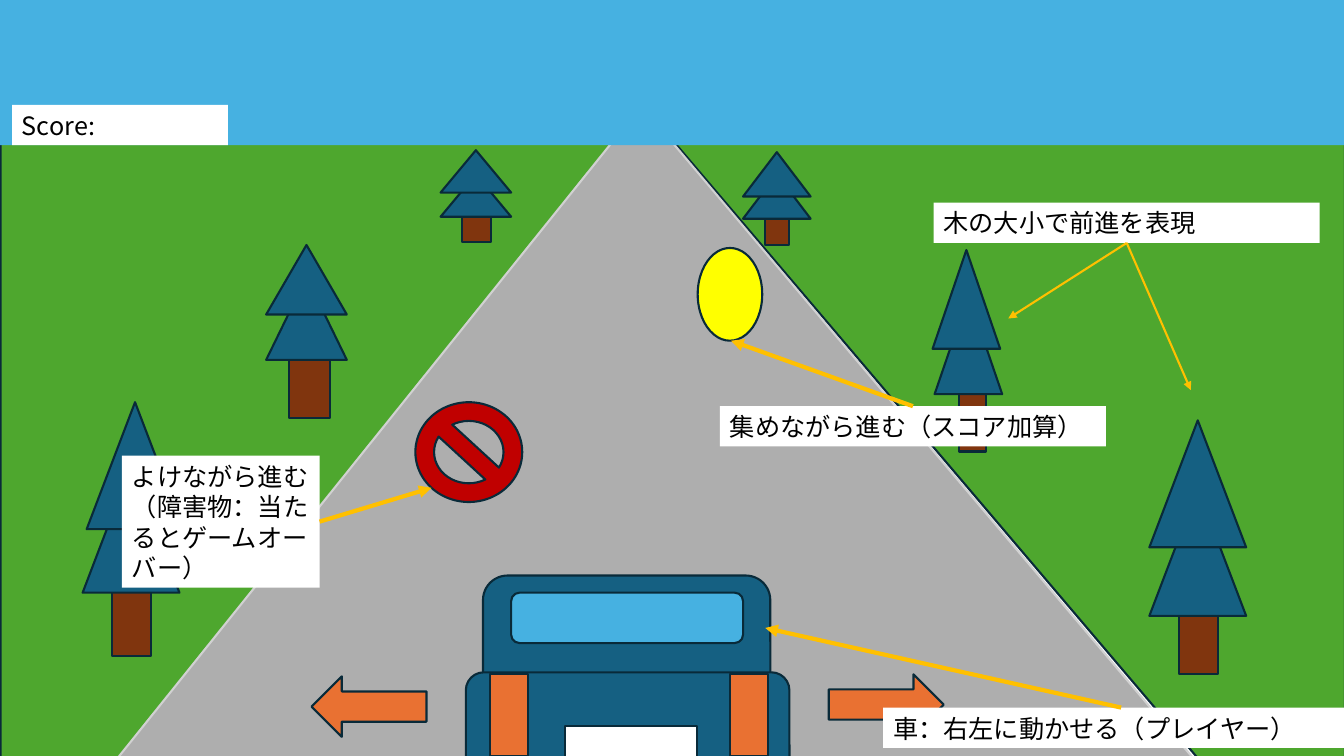
from dataclasses import dataclass
from typing import NamedTuple

from lxml import etree
from pptx import Presentation
from pptx.dml.color import RGBColor
from pptx.enum.shapes import MSO_CONNECTOR, MSO_SHAPE
from pptx.enum.text import MSO_ANCHOR, MSO_AUTO_SIZE, PP_ALIGN
from pptx.oxml.ns import qn
from pptx.util import Inches, Pt

RECT = MSO_SHAPE.RECTANGLE
ROUND = MSO_SHAPE.ROUNDED_RECTANGLE
TRIANGLE = MSO_SHAPE.ISOSCELES_TRIANGLE
OVAL = MSO_SHAPE.OVAL
NO_SYMBOL = MSO_SHAPE.NO_SYMBOL
RIGHT_ARROW = MSO_SHAPE.RIGHT_ARROW
STRAIGHT = MSO_CONNECTOR.STRAIGHT
TOP, RIGHT, BOTTOM = 0, 3, 2


@dataclass(frozen=True)
class Theme:
    font: str = "Noto Sans CJK JP"
    text_size: float = 18
    line_pitch: float = 21.8
    outline_width: float = 1.5
    text: str = "000000"
    outline: str = "092A39"
    grass: str = "4EA72E"
    road: str = "AEAEAE"
    road_edge: str = "D1D1D1"
    sky: str = "46B1E1"
    trunk: str = "80350E"
    blue: str = "156082"
    orange: str = "E97132"
    white: str = "FFFFFF"
    coin: str = "FFFF00"
    danger: str = "C00000"
    pointer: str = "FFC000"


THEME = Theme()


class Box(NamedTuple):
    left: float
    top: float
    width: float
    height: float


@dataclass(frozen=True)
class Part:
    kind: int
    box: Box
    fill: str
    outline: str | None = THEME.outline
    rotation: float = 0
    adjust: float | None = None


@dataclass(frozen=True)
class Tree:
    trunk: Box
    lower: Box
    upper: Box


@dataclass(frozen=True)
class Label:
    text: str
    box: Box


@dataclass(frozen=True)
class Pointer:
    label: str
    side: int
    tip: tuple[float, float]
    width: float


SCENERY = [
    Part(TRIANGLE, Box(0.64, 0.35, 7.85, 9.12), THEME.grass, rotation=90, adjust=0),
    Part(TRIANGLE, Box(6.08, 1.98, 7.85, 6.67), THEME.grass, rotation=270, adjust=1),
    Part(TRIANGLE, Box(0.79, 1.05, 11.44, 6.94), THEME.road, THEME.road_edge, adjust=0.487),
    Part(RECT, Box(0, 0, 13.33, 1.44), THEME.sky, None),
]

TREES = [
    Tree(Box(1.11, 5.25, 0.39, 1.26), Box(0.82, 4.62, 0.96, 1.26), Box(0.86, 3.99, 0.96, 1.26)),
    Tree(Box(11.69, 5.43, 0.39, 1.26), Box(11.4, 4.85, 0.96, 1.26), Box(11.4, 4.17, 0.96, 1.26)),
    Tree(Box(4.58, 1.98, 0.29, 0.42), Box(4.37, 1.73, 0.7, 0.42), Box(4.37, 1.49, 0.7, 0.42)),
    Tree(Box(7.59, 1.95, 0.24, 0.48), Box(7.37, 1.73, 0.67, 0.44), Box(7.37, 1.51, 0.67, 0.44)),
    Tree(Box(2.87, 3.33, 0.4, 0.82), Box(2.64, 2.75, 0.8, 0.82), Box(2.64, 2.43, 0.8, 0.69)),
    Tree(Box(9.51, 3.5, 0.27, 0.98), Box(9.27, 2.93, 0.67, 0.98), Box(9.25, 2.48, 0.67, 0.98)),
]

WHEELS = [Part(RECT, Box(x, 6.96, 0.59, 0.98), THEME.text) for x in (5.08, 6.78)]
LAMPS = [Part(RECT, Box(x, 6.69, 0.38, 0.81), THEME.orange) for x in (4.86, 7.24)]
CAR = [
    *WHEELS,
    Part(ROUND, Box(4.79, 5.71, 2.85, 1.46), THEME.blue),
    Part(ROUND, Box(4.62, 6.67, 3.21, 1.07), THEME.blue),
    Part(ROUND, Box(5.07, 5.88, 2.3, 0.5), THEME.sky),
    *LAMPS,
    Part(RECT, Box(5.6, 7.2, 1.31, 0.5), THEME.white),
]

GAME_ITEMS = [
    Part(RIGHT_ARROW, Box(8.22, 6.69, 1.14, 0.6), THEME.orange),
    Part(RIGHT_ARROW, Box(3.09, 6.71, 1.14, 0.6), THEME.orange, rotation=180),
    Part(OVAL, Box(6.92, 2.46, 0.64, 0.92), THEME.coin),
    Part(NO_SYMBOL, Box(4.12, 3.99, 1.06, 0.99), THEME.danger),
]

LABELS = {
    "score": Label("Score:", Box(0.12, 1.04, 2.14, 0.4)),
    "collect": Label("集めながら進む（スコア加算）", Box(7.14, 4.03, 3.83, 0.4)),
    "avoid": Label("よけながら進む（障害物：当たるとゲームオーバー）", Box(1.21, 4.52, 1.96, 1.31)),
    "player": Label("車：右左に動かせる（プレイヤー）", Box(8.76, 7.02, 4.72, 0.4)),
    "trees": Label("木の大小で前進を表現", Box(9.26, 2.01, 3.83, 0.4)),
}

POINTERS = [
    Pointer("avoid", RIGHT, (4.28, 4.84), 3),
    Pointer("collect", TOP, (7.25, 3.38), 3),
    Pointer("player", TOP, (7.59, 6.23), 3),
    Pointer("trees", BOTTOM, (10, 3.16), 1.5),
    Pointer("trees", BOTTOM, (11.81, 3.87), 1.5),
]


def add_part(slide, part: Part):
    sp = slide.shapes.add_shape(part.kind, *map(Inches, part.box))
    sp.shadow.inherit = False
    sp.rotation = part.rotation
    if part.adjust is not None:
        sp.adjustments[0] = part.adjust
    sp.fill.solid()
    sp.fill.fore_color.rgb = RGBColor.from_string(part.fill)
    if part.outline is None:
        sp.line.fill.background()
    else:
        sp.line.color.rgb = RGBColor.from_string(part.outline)
        sp.line.width = Pt(THEME.outline_width)
    return sp


def add_tree(slide, tree: Tree) -> None:
    add_part(slide, Part(RECT, tree.trunk, THEME.trunk))
    for crown in (tree.lower, tree.upper):
        add_part(slide, Part(TRIANGLE, crown, THEME.blue))


def add_label(slide, label: Label):
    sp = add_part(slide, Part(RECT, label.box, THEME.white, None))
    tf = sp.text_frame
    tf.word_wrap = True
    tf.auto_size = MSO_AUTO_SIZE.SHAPE_TO_FIT_TEXT
    tf.vertical_anchor = MSO_ANCHOR.TOP
    p = tf.paragraphs[0]
    p.alignment = PP_ALIGN.LEFT
    p.line_spacing = Pt(THEME.line_pitch)
    r = p.add_run()
    r.text = label.text
    r.font.size = Pt(THEME.text_size)
    r.font.color.rgb = RGBColor.from_string(THEME.text)
    r.font.name = THEME.font
    # East Asian typeface
    etree.SubElement(r._r.get_or_add_rPr(), qn("a:ea"), typeface=THEME.font)
    return sp


def add_pointer(slide, pointer: Pointer, label_shape) -> None:
    tip = [Inches(v) for v in pointer.tip]
    line = slide.shapes.add_connector(STRAIGHT, *tip, *tip)
    line.begin_connect(label_shape, pointer.side)
    line.line.color.rgb = RGBColor.from_string(THEME.pointer)
    line.line.width = Pt(pointer.width)
    # Arrowhead, no shadow
    etree.SubElement(line.line._get_or_add_ln(), qn("a:tailEnd"), type="triangle")
    etree.SubElement(line._element.spPr, qn("a:effectLst"))


def main() -> None:
    prs = Presentation()
    prs.slide_width, prs.slide_height = Inches(13.33), Inches(7.5)
    s = prs.slides.add_slide(prs.slide_layouts[6])

    # Landscape, trees, car and game items
    for part in SCENERY:
        add_part(s, part)
    for tree in TREES:
        add_tree(s, tree)
    for part in CAR + GAME_ITEMS:
        add_part(s, part)

    # Labels and their pointers
    label_shapes = {key: add_label(s, label) for key, label in LABELS.items()}
    for pointer in POINTERS:
        add_pointer(s, pointer, label_shapes[pointer.label])

    prs.save("out.pptx")


if __name__ == "__main__":
    main()
